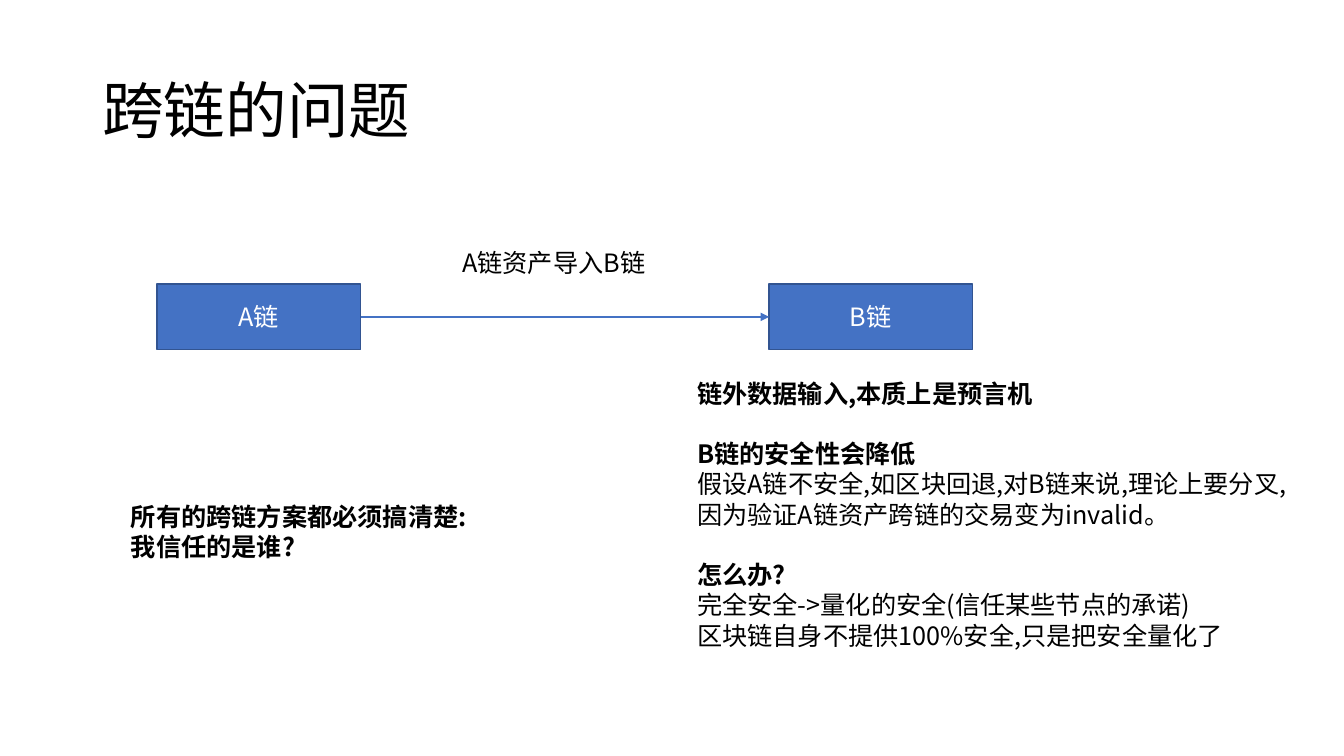
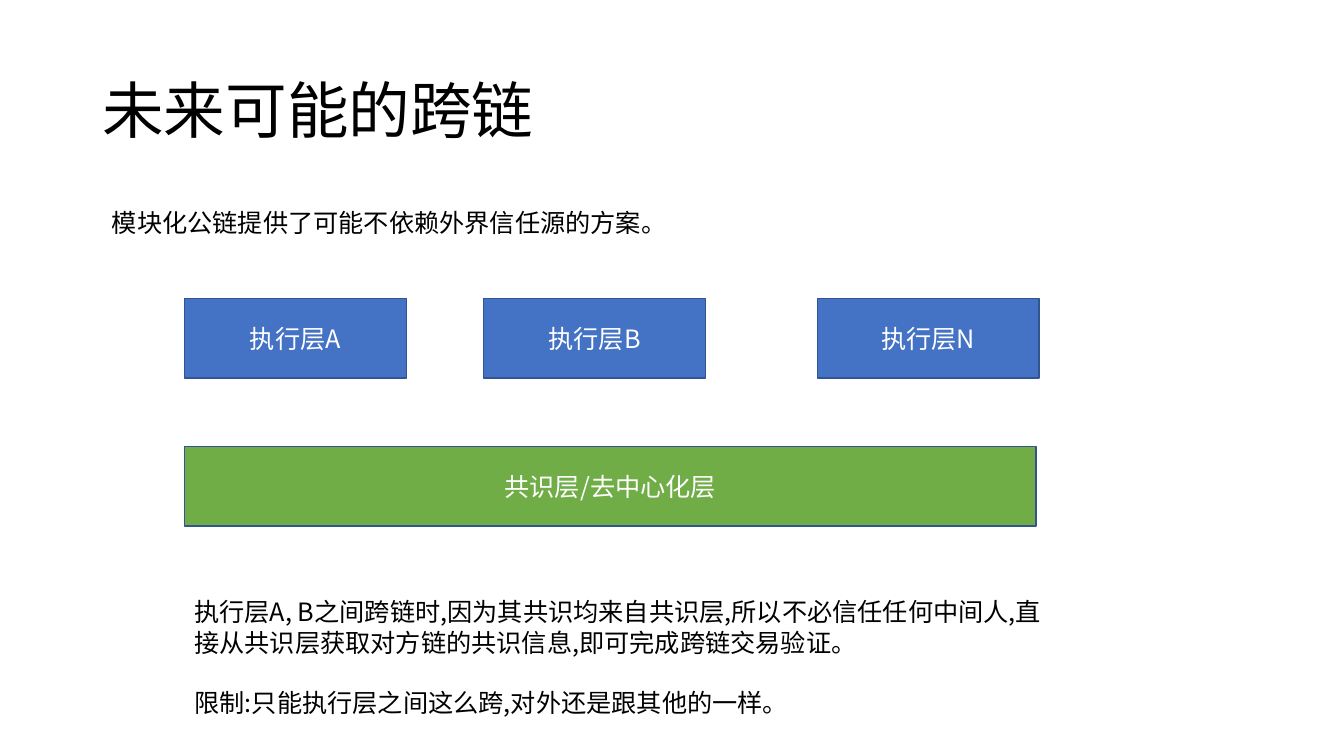
from dataclasses import dataclass
from pptx import Presentation
from pptx.dml.color import RGBColor
from pptx.enum.shapes import MSO_CONNECTOR, MSO_SHAPE
from pptx.enum.text import MSO_ANCHOR, PP_ALIGN
from pptx.oxml.ns import qn
from pptx.util import Cm, Pt
from lxml.etree import SubElement


@dataclass(frozen=True)
class Theme:
    font: str = "Noto Sans CJK SC"
    text: RGBColor = RGBColor(0x00, 0x00, 0x00)
    light: RGBColor = RGBColor(0xFF, 0xFF, 0xFF)
    blue: RGBColor = RGBColor(0x44, 0x72, 0xC4)
    green: RGBColor = RGBColor(0x70, 0xAD, 0x47)
    outline: RGBColor = RGBColor(0x32, 0x54, 0x91)
    title_size: Pt = Pt(44)
    body_size: Pt = Pt(18)
    title_spacing: float = 0.9
    body_spacing: Pt = Pt(21.6)


@dataclass(frozen=True)
class Box:
    left: float
    top: float
    width: float
    height: float

    def lengths(self):
        return [Cm(v) for v in (self.left, self.top, self.width, self.height)]


THEME = Theme()
TITLE_BOX = Box(2.33, 1.01, 29.21, 3.68)


def add_run(p, text, color, size, bold=False):
    r = p.add_run()
    r.text = text
    r.font.name = THEME.font
    r.font.size = size
    r.font.bold = bold
    r.font.color.rgb = color
    SubElement(r.font._element, qn("a:ea"), typeface=THEME.font)


def add_title(s, text):
    tf = s.shapes.add_textbox(*TITLE_BOX.lengths()).text_frame
    tf.word_wrap = True
    tf.vertical_anchor = MSO_ANCHOR.MIDDLE
    p = tf.paragraphs[0]
    p.line_spacing = THEME.title_spacing
    add_run(p, text, THEME.text, THEME.title_size)


def add_text(s, box, *groups):
    tf = s.shapes.add_textbox(*box.lengths()).text_frame
    tf.word_wrap = True
    p = None
    for g, group in enumerate(groups):
        for i, (text, bold) in enumerate(group):
            p = tf.add_paragraph() if p else tf.paragraphs[0]
            p.line_spacing = THEME.body_spacing
            if g and i == 0:
                p.space_before = THEME.body_spacing
            add_run(p, text, THEME.text, THEME.body_size, bold)


def add_block(s, box, text, fill):
    sp = s.shapes.add_shape(MSO_SHAPE.RECTANGLE, *box.lengths())
    sp.shadow.inherit = False
    sp.fill.solid()
    sp.fill.fore_color.rgb = fill
    sp.line.color.rgb = THEME.outline
    sp.line.width = Pt(1)
    tf = sp.text_frame
    tf.word_wrap = True
    tf.vertical_anchor = MSO_ANCHOR.MIDDLE
    p = tf.paragraphs[0]
    p.alignment = PP_ALIGN.CENTER
    p.line_spacing = THEME.body_spacing
    add_run(p, text, THEME.light, THEME.body_size)
    return sp


def add_arrow(s, source, target):
    cx = s.shapes.add_connector(MSO_CONNECTOR.STRAIGHT, 0, 0, 0, 0)
    cx.begin_connect(source, 3)
    cx.end_connect(target, 1)
    cx.line.color.rgb = THEME.blue
    cx.line.width = Pt(1.5)
    SubElement(cx.line._get_or_add_ln(), qn("a:tailEnd"), type="triangle")
    SubElement(cx._element.spPr, qn("a:effectLst"))


def add_transfer(s, box):
    width = 5.13
    chain_a, chain_b = [
        add_block(s, Box(left, box.top, width, box.height), text, THEME.blue)
        for left, text in (
            (box.left, "A链"),
            (box.left + box.width - width, "B链"),
        )
    ]
    add_arrow(s, chain_a, chain_b)
    label = Box(box.left + 7.44, box.top - 1.04, width, 1.02)
    add_text(s, label, [("A链资产导入B链", False)])


def add_layers(s, box):
    height = 2.01
    for offset, name in ((0, "A"), (7.54, "B"), (15.95, "N")):
        layer = Box(box.left + offset, box.top, 5.59, height)
        add_block(s, layer, "执行层" + name, THEME.blue)
    consensus = Box(box.left, box.top + box.height - height, box.width, height)
    add_block(s, consensus, "共识层/去中心化层", THEME.green)


def build_problem(s):
    add_title(s, "跨链的问题")
    add_transfer(s, Box(3.96, 7.16, 20.55, 1.65))
    add_text(
        s, Box(17.32, 9.4, 15.29, 7.95),
        [("链外数据输入,本质上是预言机".replace(",", ","), True)],
        [
            ("B链的安全性会降低", True),
            ("假设A链不安全,如区块回退,对B链来说,理论上要分叉,"
             "因为验证A链资产跨链的交易变为invalid。".replace(",", ","), False),
        ],
        [
            ("怎么办?", True),
            ("完全安全->量化的安全(信任某些节点的承诺)", False),
            ("区块链自身不提供100%安全,只是把安全量化了", False),
        ],
    )
    add_text(
        s, Box(3.05, 12.5, 9.5, 1.8),
        [("所有的跨链方案都必须搞清楚:", True), ("我信任的是谁?", True)],
    )


def build_future(s):
    add_title(s, "未来可能的跨链")
    add_text(
        s, Box(2.57, 5.11, 28.96, 1.02),
        [("模块化公链提供了可能不依赖外界信任源的方案。", False)],
    )
    add_layers(s, Box(4.65, 7.52, 21.46, 5.74))
    add_text(
        s, Box(4.65, 14.91, 21.95, 3.33),
        [("执行层A, B之间跨链时,因为其共识均来自共识层,所以不必信任任何中间人,"
          "直接从共识层获取对方链的共识信息,即可完成跨链交易验证。", False)],
        [("限制:只能执行层之间这么跨,对外还是跟其他的一样。", False)],
    )


prs = Presentation()
prs.slide_width = Cm(33.87)
prs.slide_height = Cm(19.05)
for build in (build_problem, build_future):
    build(prs.slides.add_slide(prs.slide_layouts[6]))
prs.save("out.pptx")
